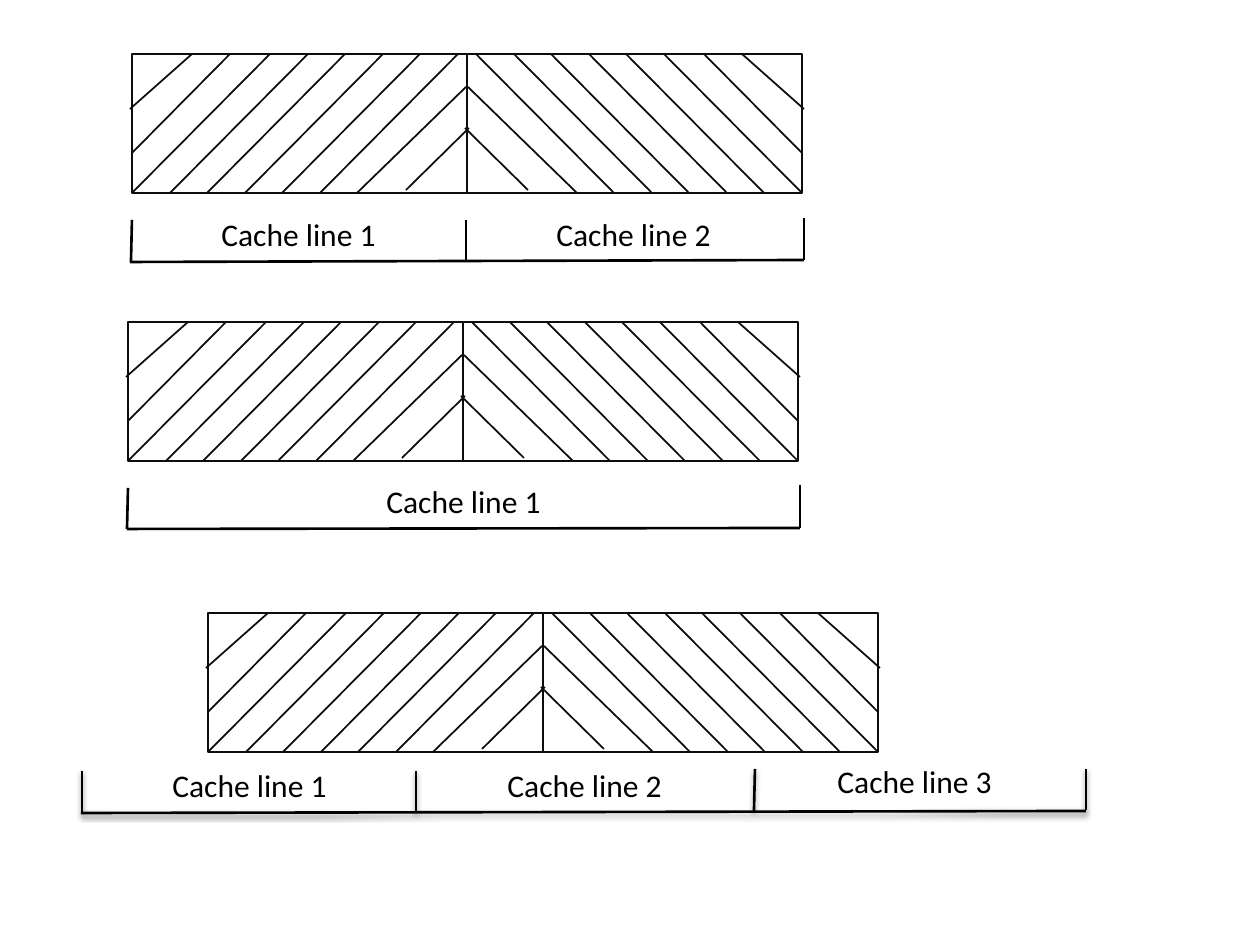
"""Draw three pairs of hatched memory blocks above their cache line brackets."""
from dataclasses import dataclass
from typing import Any

from lxml.etree import SubElement
from pptx import Presentation
from pptx.dml.color import RGBColor
from pptx.enum.shapes import MSO_CONNECTOR as Connector, MSO_SHAPE as Shape
from pptx.enum.text import MSO_AUTO_SIZE as AutoSize
from pptx.oxml.ns import qn
from pptx.util import Emu, Pt

PIXEL = 914400 / 126
BLOCK_WIDTH, BLOCK_HEIGHT = 335, 139
HATCH_STEP = 37.6
LABEL_WIDTH, LABEL_HEIGHT = 181, 50
HATCH_COLOR, BRACKET_COLOR = "0D0D0D", "000000"
LABEL_FORMAT = {"name": "Calibri", "size": Pt(18)}
SHADOW_FORMAT = {"blurRad": "40000", "dist": "20000", "dir": "5400000", "rotWithShape": "0"}


@dataclass(frozen=True)
class Segment:
    """A straight line between two points in pixels."""
    x1: int
    y1: int
    x2: int
    y2: int


@dataclass(frozen=True)
class Label:
    """A caption and the top left corner of its box."""
    text: str
    left: int
    top: int


@dataclass(frozen=True)
class Row:
    """A pair of blocks with its bracket lines and captions."""
    left: int
    top: int
    bracket: tuple[Segment, ...]
    labels: tuple[Label, ...]
    grouped: bool = False
    shadow: bool = False


HATCHES = [
    Segment(round(HATCH_STEP * i), BLOCK_HEIGHT, round(HATCH_STEP * i) + 138, 0)
    for i in range(6)
] + [
    Segment(225, 139, 334, 33),
    Segment(0, 99, 98, 0),
    Segment(-2, 55, 60, 0),
    Segment(274, 136, 337, 74),
]

ROWS = [
    Row(132, 54,
        (Segment(466, 220, 466, 262), Segment(804, 218, 804, 260),
         Segment(130, 262, 804, 260), Segment(132, 220, 131, 262)),
        (Label("Cache line 1", 209, 209), Label("Cache line 2", 544, 209))),
    Row(128, 322,
        (Segment(800, 485, 800, 528), Segment(127, 529, 800, 528),
         Segment(128, 488, 127, 529)),
        (Label("Cache line 1", 374, 476),), grouped=True),
    Row(208, 613,
        (Segment(416, 771, 416, 813), Segment(755, 769, 754, 811),
         Segment(81, 813, 1086, 811), Segment(82, 771, 82, 813),
         Segment(1086, 769, 1086, 810)),
        (Label("Cache line 1", 160, 760), Label("Cache line 2", 495, 760),
         Label("Cache line 3", 825, 756)), shadow=True),
]


def px(value: float) -> Emu:
    """Turn pixels into EMU."""
    return Emu(round(value * PIXEL))


def color(value: str) -> RGBColor:
    """Turn a hex string into a colour."""
    return RGBColor.from_string(value)


def set_line(shape: Any, hex_color: str, width: float) -> None:
    """Set the colour and width of an outline."""
    shape.line.color.rgb = color(hex_color)
    shape.line.width = Pt(width)


def add_segment(shapes: Any, segment: Segment, hex_color: str, width: float,
                shadow: bool = False) -> None:
    """Draw one straight line, with a soft shadow if asked."""
    line = shapes.add_connector(Connector.STRAIGHT, px(segment.x1), px(segment.y1),
                                px(segment.x2), px(segment.y2))
    set_line(line, hex_color, width)
    effects = SubElement(line._element.spPr, qn("a:effectLst"))
    if shadow:
        outer = SubElement(effects, qn("a:outerShdw"), SHADOW_FORMAT)
        black = SubElement(outer, qn("a:srgbClr"), val="000000")
        SubElement(black, qn("a:alpha"), val="38000")


def add_block(shapes: Any, left: int, top: int, mirrored: bool) -> None:
    """Draw a hatched block, mirrored left to right if asked."""
    block = shapes.add_shape(Shape.RECTANGLE, px(left), px(top),
                             px(BLOCK_WIDTH), px(BLOCK_HEIGHT))
    block.shadow.inherit = False
    block.fill.background()
    set_line(block, HATCH_COLOR, 1.5)
    origin, sign = (left + BLOCK_WIDTH, -1) if mirrored else (left, 1)
    for hatch in HATCHES:
        placed = Segment(origin + sign * hatch.x1, top + hatch.y1,
                         origin + sign * hatch.x2, top + hatch.y2)
        add_segment(shapes, placed, HATCH_COLOR, 1)


def add_label(shapes: Any, label: Label) -> None:
    """Write one caption."""
    box = shapes.add_textbox(px(label.left), px(label.top), px(LABEL_WIDTH), px(LABEL_HEIGHT))
    frame = box.text_frame
    frame.word_wrap = False
    frame.auto_size = AutoSize.SHAPE_TO_FIT_TEXT
    run = frame.paragraphs[0].add_run()
    run.text = label.text
    for name, value in LABEL_FORMAT.items():
        setattr(run.font, name, value)
    run.font.color.rgb = color(BRACKET_COLOR)


def add_row(slide: Any, row: Row) -> None:
    """Draw both blocks of a row, its bracket and its captions."""
    shapes = slide.shapes.add_group_shape().shapes if row.grouped else slide.shapes
    for index in range(2):
        add_block(shapes, row.left + index * BLOCK_WIDTH, row.top, mirrored=index == 1)
    for segment in row.bracket:
        add_segment(shapes, segment, BRACKET_COLOR, 1.5, row.shadow)
    for label in row.labels:
        add_label(shapes, label)


def main() -> None:
    """Build and save the slide."""
    presentation = Presentation()
    presentation.slide_width, presentation.slide_height = px(1260), px(945)
    slide = presentation.slides.add_slide(presentation.slide_layouts[6])
    for row in ROWS:
        add_row(slide, row)
    presentation.save("out.pptx")


main()
